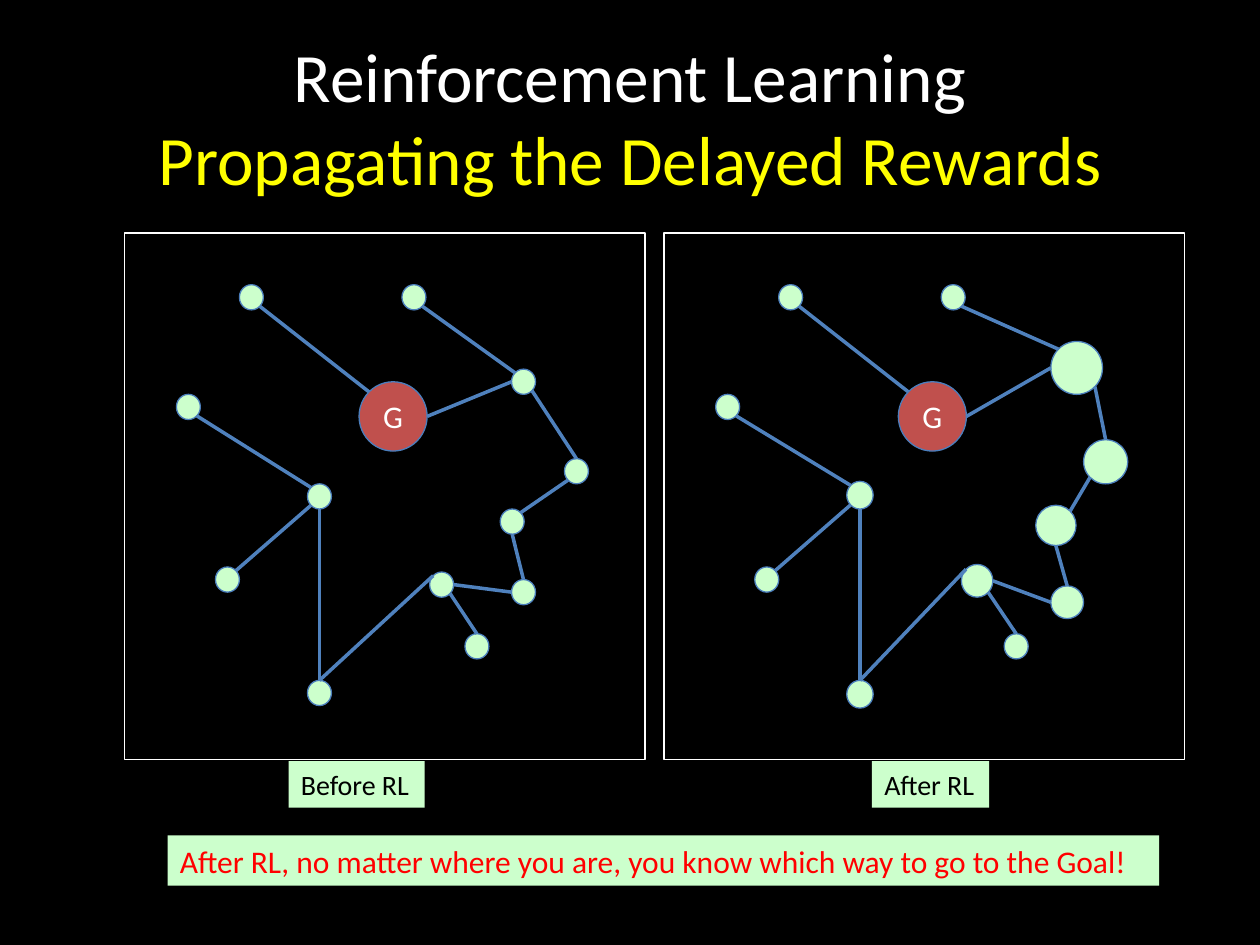
from math import cos, radians, sin

from lxml.etree import SubElement
from pptx import Presentation
from pptx.dml.color import RGBColor
from pptx.enum.shapes import MSO_CONNECTOR, MSO_SHAPE
from pptx.enum.text import MSO_ANCHOR, MSO_AUTO_SIZE, PP_ALIGN
from pptx.oxml.ns import qn
from pptx.util import Inches, Pt

THEME = {
    "font": "Calibri",
    "black": "000000", "white": "FFFFFF", "yellow": "FFFF00", "red": "FF0000",
    "mint": "CCFFCC", "goal": "C0504D", "outline": "4B7EBC", "path": "4F81BD",
    "title": 39.6, "body": 18, "label": 16,
    "thin": 0.75, "thick": 2,
}

TITLE = [("Reinforcement Learning", "white"),
         ("Propagating the Delayed Rewards", "yellow")]
LABELS = [
    ("Before RL", (2.29, 6.04, 1.08, 0.37), "label", "black"),
    ("After RL", (6.92, 6.04, 0.93, 0.37), "label", "black"),
    ("After RL, no matter where you are, you know which way to go to the Goal!",
     (1.33, 6.63, 7.87, 0.4), "body", "red"),
]

SMALL = (0.19, 0.2)
FRAME = (0.99, 1.85, 4.13, 4.18)
PANEL_STEP = 4.28
BEFORE = {
    "goal": (2.85, 3.03, 0.54, 0.55),
    "north": (3.19, 2.26, *SMALL),
    "step 1": (4.06, 2.93, *SMALL),
    "step 4": (4.06, 4.6, *SMALL),
    "hub": (2.44, 3.84, *SMALL),
    "step 2": (4.48, 3.64, *SMALL),
    "northwest": (1.9, 2.26, *SMALL),
    "south": (2.44, 5.4, *SMALL),
    "west": (1.4, 3.13, *SMALL),
    "step 5": (3.41, 4.54, *SMALL),
    "southwest": (1.71, 4.5, *SMALL),
    "leaf": (3.69, 5.03, *SMALL),
    "step 3": (3.97, 4.04, *SMALL),
}
REWARDED = {
    "step 1": (4.06, 2.71, 0.41, 0.42),
    "step 2": (4.32, 3.49, 0.35, 0.35),
    "step 3": (3.94, 4.01, 0.32, 0.32),
    "step 4": (4.06, 4.65, 0.26, 0.26),
    "step 5": (3.35, 4.48, 0.25, 0.26),
    "hub": (2.44, 3.82, 0.21, 0.22),
    "south": (2.44, 5.4, 0.21, 0.22),
}
PANELS = [(0, BEFORE), (PANEL_STEP, {**BEFORE, **REWARDED})]

ANGLES = {"right": 0, "bottom right": 45, "bottom": 90, "bottom left": 135,
          "left": 180, "top left": 225, "top": 270, "top right": 315}
PATHS = [
    ("goal", "top left", "northwest", "bottom right"),
    ("goal", "right", "step 1", "left"),
    ("north", "bottom right", "step 1", "top left"),
    ("step 1", "bottom right", "step 2", "top"),
    ("step 2", "bottom left", "step 3", "top right"),
    ("step 3", "bottom", "step 4", "top"),
    ("step 4", "left", "step 5", "right"),
    ("step 5", "top left", "south", "top"),
    ("south", "top", "hub", "bottom"),
    ("hub", "top left", "west", "bottom right"),
    ("hub", "bottom left", "southwest", "top right"),
    ("step 5", "bottom right", "leaf", "top"),
]


def color(name):
    return RGBColor.from_string(THEME[name])


def add_span(para, text, size, ink):
    span = para.add_run()
    span.text = text
    span.font.name = THEME["font"]
    span.font.size = Pt(THEME[size])
    span.font.color.rgb = color(ink)


def add_figure(shapes, kind, bounds, fill, line):
    figure = shapes.add_shape(kind, *map(Inches, bounds))
    figure.shadow.inherit = False
    if fill:
        figure.fill.solid()
        figure.fill.fore_color.rgb = color(fill)
    else:
        figure.fill.background()
    figure.line.color.rgb = color(line)
    figure.line.width = Pt(THEME["thin"])
    return figure


def rim_point(bounds, side):
    left, top, width, height = bounds
    angle = radians(ANGLES[side])
    return (Inches(left + width / 2 * (1 + cos(angle))),
            Inches(top + height / 2 * (1 + sin(angle))))


def add_path(shapes, start, end):
    path = shapes.add_connector(MSO_CONNECTOR.STRAIGHT, *start, *end)
    path.line.color.rgb = color("path")
    path.line.width = Pt(THEME["thick"])
    SubElement(path._element.spPr, qn("a:effectLst"))


def add_panel(page, shift, nodes):
    shapes = page.shapes.add_group_shape().shapes
    places = {name: (left + shift, *rest) for name, (left, *rest) in nodes.items()}
    for name, bounds in places.items():
        fill = "goal" if name == "goal" else "mint"
        node = add_figure(shapes, MSO_SHAPE.OVAL, bounds, fill, "outline")
        if name == "goal":
            frame = node.text_frame
            frame.margin_left = frame.margin_right = 0
            frame.vertical_anchor = MSO_ANCHOR.MIDDLE
            para = frame.paragraphs[0]
            para.alignment = PP_ALIGN.CENTER
            add_span(para, "G", "body", "white")
    add_figure(shapes, MSO_SHAPE.RECTANGLE, (FRAME[0] + shift, *FRAME[1:]), None, "white")
    for first, first_side, second, second_side in PATHS:
        add_path(shapes, rim_point(places[first], first_side),
                 rim_point(places[second], second_side))


def add_title(page):
    title = page.shapes.title
    title.left, title.top, title.width, title.height = map(Inches, (0.5, 0.3, 9, 1.25))
    title.text_frame.vertical_anchor = MSO_ANCHOR.MIDDLE
    para = title.text_frame.paragraphs[0]
    para.alignment = PP_ALIGN.CENTER
    for index, (text, ink) in enumerate(TITLE):
        if index:
            para.add_line_break()
        add_span(para, text, "title", ink)


def add_label(page, text, bounds, size, ink):
    box = page.shapes.add_textbox(*map(Inches, bounds))
    box.fill.solid()
    box.fill.fore_color.rgb = color("mint")
    box.text_frame.word_wrap = False
    box.text_frame.auto_size = MSO_AUTO_SIZE.SHAPE_TO_FIT_TEXT
    add_span(box.text_frame.paragraphs[0], text, size, ink)


def main():
    deck = Presentation()
    deck.slide_width, deck.slide_height = Inches(10), Inches(7.5)
    page = deck.slides.add_slide(deck.slide_layouts[5])
    page.background.fill.solid()
    page.background.fill.fore_color.rgb = color("black")
    add_title(page)
    for shift, nodes in PANELS:
        add_panel(page, shift, nodes)
    for label in LABELS:
        add_label(page, *label)
    deck.save("out.pptx")


if __name__ == "__main__":
    main()
